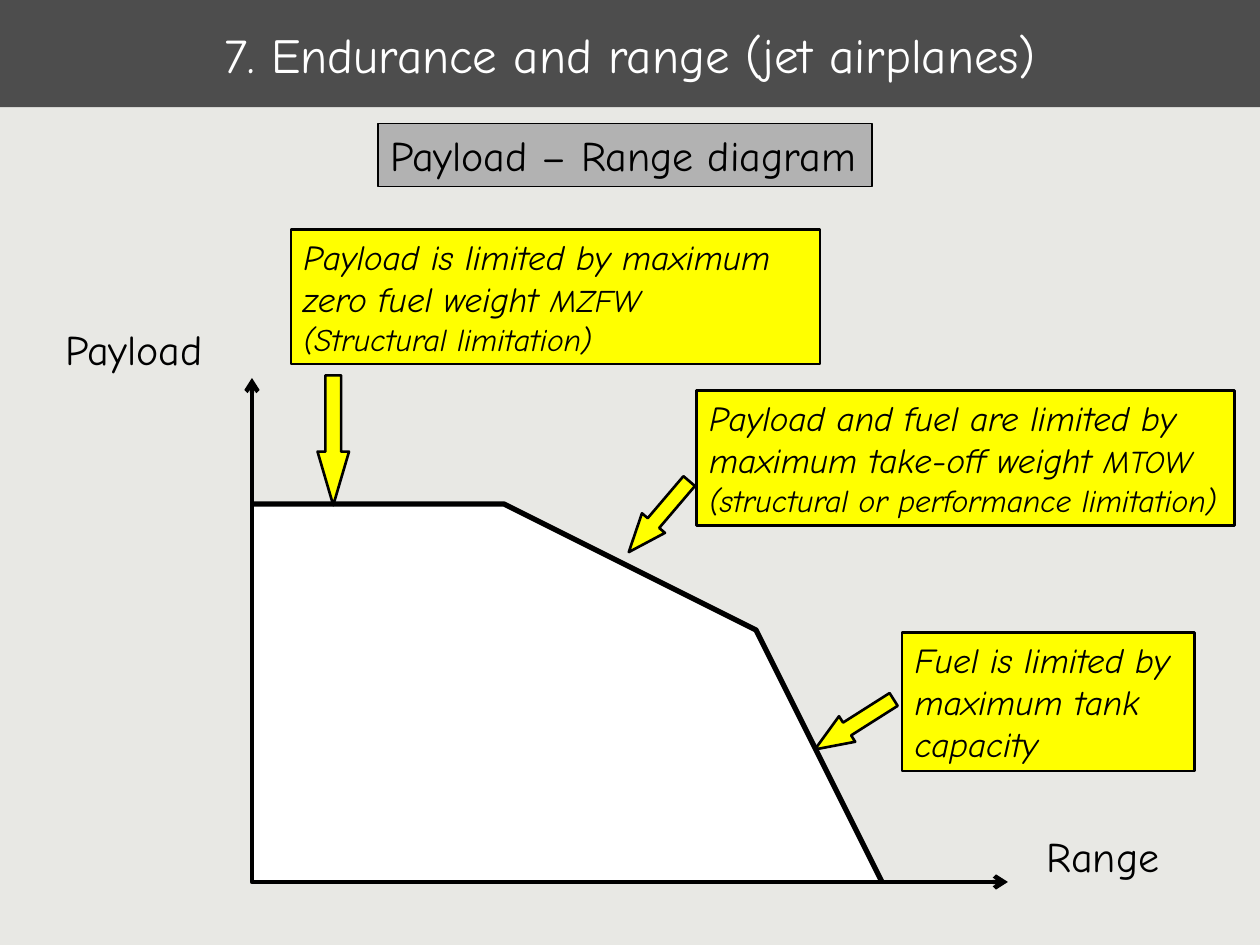
from pptx import Presentation, util as u
from pptx.dml.color import RGBColor
from pptx.enum import shapes, text
from pptx.oxml.ns import qn
from lxml import etree

BLACK, WHITE, YELLOW = "000000", "FFFFFF", "FFFF00"


def color(value):
    return RGBColor.from_string(value)


class Deck:
    font = "Comic Neue"

    def __init__(self):
        self.prs = Presentation()
        self.prs.slide_width, self.prs.slide_height = u.Inches(10), u.Inches(7.5)
        self.slide = self.prs.slides.add_slide(self.prs.slide_layouts[5])
        self.paint(self.slide.background, "E8E8E4")

    def paint(self, part, fill):
        if fill:
            part.fill.solid()
            part.fill.fore_color.rgb = color(fill)
        else:
            part.fill.background()

    def outline(self, shape, width):
        shape.shadow.inherit = False
        shape.line.color.rgb = color(BLACK)
        shape.line.width = u.Pt(width)

    def set_text(self, shape, paragraphs, ink=BLACK, italic=False, wrap=True,
                 align=text.PP_ALIGN.LEFT, anchor=text.MSO_ANCHOR.TOP):
        """Each paragraph is a list of (wording, size) runs."""
        frame = shape.text_frame
        frame.auto_size = text.MSO_AUTO_SIZE.NONE
        frame.word_wrap = wrap
        frame.vertical_anchor = anchor
        for i, runs in enumerate(paragraphs):
            paragraph = frame.add_paragraph() if i else frame.paragraphs[0]
            paragraph.alignment = align
            for wording, size in runs:
                run = paragraph.add_run()
                run.text = wording
                run.font.name, run.font.size = self.font, u.Pt(size)
                run.font.italic = italic
                run.font.color.rgb = color(ink)

    def title(self, wording):
        bar = self.slide.shapes.title
        bar.left, bar.top = u.Inches(0), u.Inches(0)
        bar.width, bar.height = u.Inches(10), u.Inches(0.85)
        self.paint(bar, "4D4D4D")
        self.set_text(bar, [[(wording, 28)]], ink=WHITE,
                      align=text.PP_ALIGN.CENTER, anchor=text.MSO_ANCHOR.MIDDLE)

    def label(self, box, wording):
        area = self.slide.shapes.add_textbox(*map(u.Inches, box))
        self.set_text(area, [[(wording, 24)]], wrap=False)

    def shape(self, kind, box, fill, line_width):
        shape = self.slide.shapes.add_shape(kind, *map(u.Inches, box))
        self.paint(shape, fill)
        self.outline(shape, line_width)
        return shape

    def heading(self, box, wording):
        shape = self.shape(shapes.MSO_SHAPE.RECTANGLE, box, "B2B2B2", 1)
        self.set_text(shape, [[(wording, 24)]], wrap=False)

    def note(self, box, paragraphs):
        shape = self.shape(shapes.MSO_SHAPE.RECTANGLE, box, YELLOW, 1.5)
        self.set_text(shape, paragraphs, italic=True)

    def pointer(self, box, head_length, rotation=0):
        arrow = self.shape(shapes.MSO_SHAPE.DOWN_ARROW, box, YELLOW, 1.5)
        arrow.adjustments[0], arrow.adjustments[1] = 0.5, head_length
        arrow.rotation = rotation

    def polyline(self, points, fill=None, line_width=None, arrows=False):
        (x, y), *rest = points
        builder = self.slide.shapes.build_freeform(x, y, scale=u.Inches(1))
        builder.add_line_segments(rest, close=bool(fill))
        shape = builder.convert_to_shape()
        self.paint(shape, fill)
        if line_width:
            self.outline(shape, line_width)
        else:
            shape.shadow.inherit = False
            shape.line.fill.background()
        if arrows:
            line = shape.element.spPr.find(qn("a:ln"))
            for end in ("a:headEnd", "a:tailEnd"):
                etree.SubElement(line, qn(end), type="arrow")


def main():
    deck = Deck()
    deck.title("7. Endurance and range (jet airplanes)")

    # Payload-range envelope and axes
    origin = (1.94, 6.78)
    limits = [(1.94, 4.11), (4.49, 4.11), (6.09, 5.21), (6.68, 6.78)]
    deck.polyline(limits + [origin], fill=WHITE)
    deck.polyline([(1.94, 3.01), origin, (8, 6.78)], line_width=2.5, arrows=True)
    deck.polyline(limits, line_width=3)
    deck.label((0.42, 2.52, 1.3, 0.5), "Payload")
    deck.label((8.21, 6.54, 1.1, 0.5), "Range")

    # Explanations of the three limits
    deck.note((2.31, 1.82, 4.2, 1.07), [
        [("Payload is limited by maximum zero fuel weight ", 20), ("MZFW", 18)],
        [("(Structural limitation)", 18)]])
    deck.note((5.53, 3.1, 4.27, 1.07), [
        [("Payload and fuel are limited by maximum take-off weight ", 20),
         ("MTOW (structural or performance limitation)", 18)]])
    deck.note((7.16, 5.02, 2.32, 1.1), [
        [("Fuel is limited by maximum tank capacity", 20)]])
    deck.heading((3, 0.98, 3.92, 0.5), "Payload – Range diagram")

    # Pointers from the explanations to the envelope
    deck.pointer((2.52, 2.98, 0.25, 1.03), 1.7)
    deck.pointer((5.11, 3.73, 0.24, 0.74), 1.26, 40.4)
    deck.pointer((6.66, 5.38, 0.24, 0.74), 1.26, 57.6)

    deck.prs.save("out.pptx")


if __name__ == "__main__":
    main()
